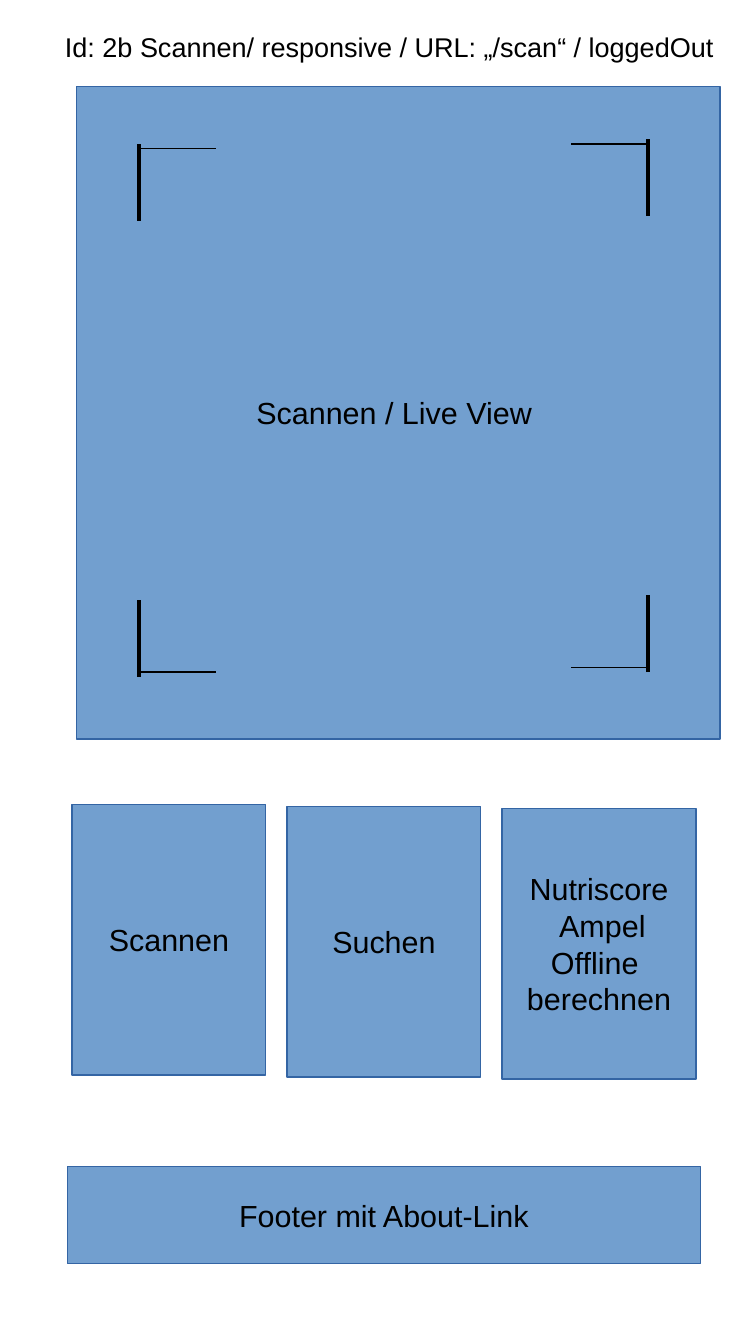
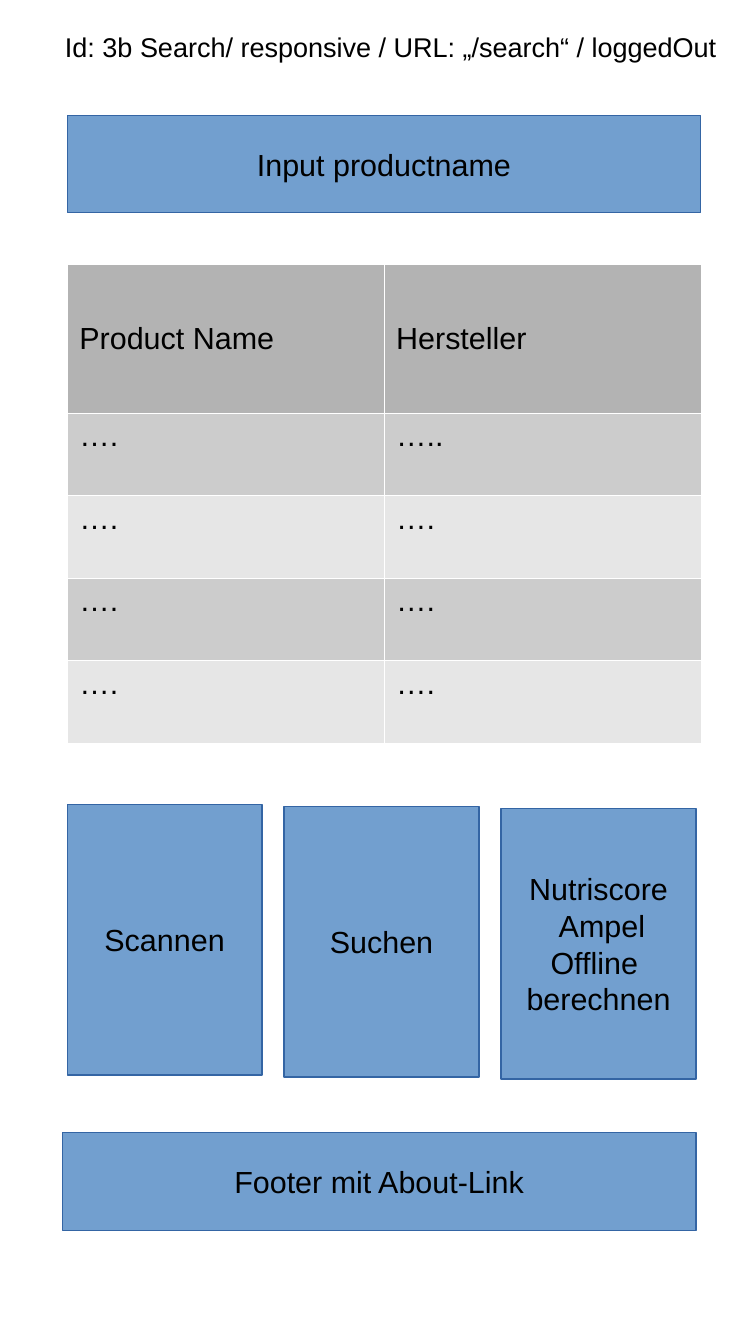
from dataclasses import dataclass

from lxml.etree import SubElement
from pptx import Presentation
from pptx.dml.color import RGBColor as RGB
from pptx.enum.shapes import MSO_CONNECTOR as CONNECTOR, MSO_SHAPE as SHAPE
from pptx.enum.text import MSO_ANCHOR as ANCHOR, MSO_AUTO_SIZE as AUTO, PP_ALIGN as ALIGN
from pptx.oxml import parse_xml
from pptx.oxml.ns import nsdecls, qn
from pptx.util import Cm, Pt


@dataclass(frozen=True)
class Theme:
    font: str = "Arial"
    title_size: float = 16
    body_size: float = 18
    text: RGB = RGB(0x00, 0x00, 0x00)
    box: RGB = RGB(0x72, 0x9F, 0xCF)
    edge: RGB = RGB(0x34, 0x65, 0xA4)
    head: RGB = RGB(0xB3, 0xB3, 0xB3)
    bands: tuple = (RGB(0xCC, 0xCC, 0xCC), RGB(0xE6, 0xE6, 0xE6))
    border: RGB = RGB(0xFF, 0xFF, 0xFF)
    border_width: float = 0.06
    hairline: float = 0
    stroke: float = 0.79


def set_all(obj, values):
    for name, value in values.items():
        setattr(obj, name, value)


class Wireframe:
    def __init__(self, prs, theme):
        self.prs, self.theme, self.s = prs, theme, None

    def page(self, title):
        """Start a slide and place its heading."""
        self.s = self.prs.slides.add_slide(self.prs.slide_layouts[5])
        sp = self.s.shapes.title
        set_all(sp, dict(left=Cm(1.1), top=Cm(0.5), width=Cm(14.3), height=Cm(1.5)))
        self.fill_text(sp.text_frame, title, self.theme.title_size, ALIGN.LEFT,
                       vertical_anchor=ANCHOR.TOP, word_wrap=True, auto_size=AUTO.NONE)

    def fill_text(self, tf, text, size, align, **frame):
        set_all(tf, frame)
        tf.text = text
        for p in tf.paragraphs:
            p.alignment = align
            for r in p.runs:
                set_all(r.font, dict(name=self.theme.font, size=Pt(size), bold=False))
                r.font.color.rgb = self.theme.text

    def box(self, text, x, y, w, h):
        sp = self.s.shapes.add_shape(SHAPE.RECTANGLE, Cm(x), Cm(y), Cm(w), Cm(h))
        sp.shadow.inherit = False
        sp.fill.solid()
        sp.fill.fore_color.rgb = self.theme.box
        sp.line.color.rgb = self.theme.edge
        sp.line.width = Pt(self.theme.hairline)
        self.fill_text(sp.text_frame, text, self.theme.body_size, ALIGN.CENTER,
                       vertical_anchor=ANCHOR.MIDDLE, word_wrap=False)

    def line(self, x1, y1, x2, y2, width):
        cx = self.s.shapes.add_connector(CONNECTOR.STRAIGHT, Cm(x1), Cm(y1), Cm(x2), Cm(y2))
        cx.line.color.rgb = self.theme.text
        cx.line.width = Pt(width)
        SubElement(cx._element.spPr, qn("a:effectLst"))

    def corner(self, x, y, dx, dy, arm=1.6, overshoot=0.1):
        """Draw a viewfinder corner; dx and dy (1 or -1) point inwards."""
        self.line(x, y, x + dx * arm, y, self.theme.stroke)
        start = y - dy * overshoot
        self.line(x, start, x, start + dy * arm, self.theme.hairline)

    def navigation(self, x, width, step):
        """Draw the three menu cards, each slightly lower than the last."""
        labels = "Scannen", "Suchen", "Nutriscore\n Ampel\nOffline \nberechnen"
        for i, label in enumerate(labels):
            self.box(label, x + i * step, 16.76 + i * 0.04, width, 5.64)

    def footer(self, x, y):
        self.box("Footer mit About-Link", x, y, 13.2, 2.03)

    def cell(self, cell, text, fill, anchor):
        cell.fill.solid()
        cell.fill.fore_color.rgb = fill
        cell.vertical_anchor = anchor
        self.fill_text(cell.text_frame, text, self.theme.body_size, ALIGN.LEFT)
        tc_pr = cell._tc.get_or_add_tcPr()
        for i, side in enumerate("LRTB"):
            tc_pr.insert(i, parse_xml(
                f'<a:ln{side} {nsdecls("a")} w="{Pt(self.theme.border_width)}"><a:solidFill>'
                f'<a:srgbClr val="{self.theme.border}"/></a:solidFill></a:ln{side}>'))

    def table(self, rows, x, y, col_width, head_height, row_height):
        cols = len(rows[0])
        height = head_height + row_height * (len(rows) - 1)
        tbl = self.s.shapes.add_table(len(rows), cols, Cm(x), Cm(y),
                                      Cm(col_width * cols), Cm(height)).table
        set_all(tbl, dict(first_row=False, horz_banding=False))
        for col in tbl.columns:
            col.width = Cm(col_width)
        for i, row in enumerate(rows):
            tbl.rows[i].height = Cm(row_height if i else head_height)
            fill = self.theme.bands[(i - 1) % 2] if i else self.theme.head
            for j, text in enumerate(row):
                self.cell(tbl.cell(i, j), text, fill, ANCHOR.TOP if i else ANCHOR.MIDDLE)


def scan_page(w):
    w.page("Id: 2b Scannen/ responsive / URL: „/scan“ / loggedOut")
    w.box("Scannen / Live View ", 1.6, 1.8, 13.4, 13.6)
    for x, dx, top in (2.9, 1, 3.1), (13.5, -1, 3.0):
        w.corner(x, top, dx, 1)
        w.corner(x, top + 10.9, dx, -1)
    w.navigation(1.5, 4.04, 4.48)
    w.footer(1.4, 24.3)


def search_page(w):
    w.page("Id: 3b Search/ responsive / URL: „/search“ / loggedOut")
    w.box("Input productname", 1.4, 2.4, 13.2, 2.03)
    rows = [("Product Name", "Hersteller"), ("….", "….."), *[("….", "….")] * 3]
    w.table(rows, 1.4, 5.5, 6.6, 3.1, 1.72)
    w.navigation(1.4, 4.06, 4.52)
    w.footer(1.3, 23.6)


def main():
    prs = Presentation()
    set_all(prs, dict(slide_width=Cm(15.75), slide_height=Cm(28)))
    w = Wireframe(prs, Theme())
    scan_page(w)
    search_page(w)
    prs.save("out.pptx")


if __name__ == "__main__":
    main()
